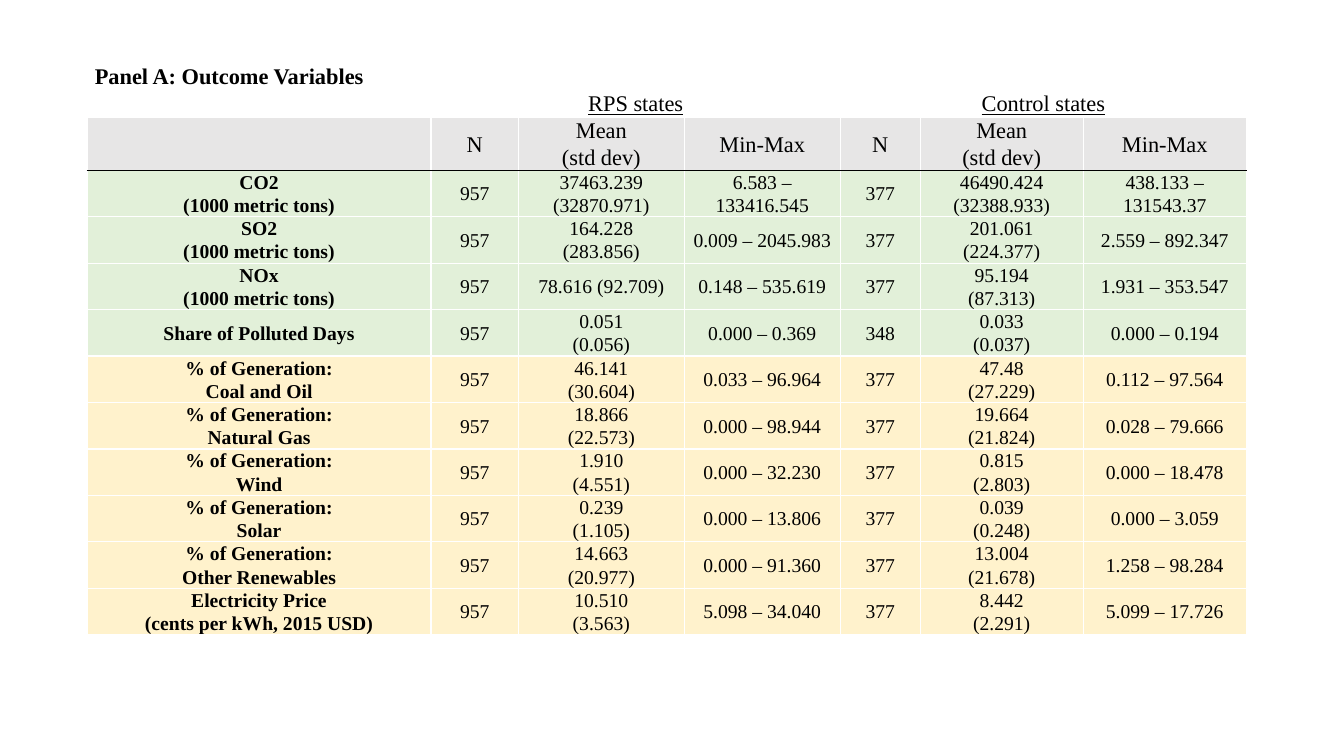
from dataclasses import dataclass

from lxml import etree
from pptx import Presentation
from pptx import util as u
from pptx.dml.color import RGBColor
from pptx.enum import text
from pptx.oxml import ns


@dataclass(frozen=True)
class Theme:
    font: str = "Times New Roman"
    ink: str = "000000"
    border: str = "FFFFFF"
    header: str = "E7E6E6"
    emissions: str = "E2F0D9"
    energy: str = "FFF2CC"
    heading_size: int = 16
    body_size: int = 14
    line_spacing: float = 1.07


@dataclass(frozen=True)
class Group:
    """Statistics of one group of states."""
    count: str
    mean: str
    span: str


@dataclass(frozen=True)
class Variable:
    label: str
    fill: str
    rps: Group
    control: Group

    def texts(self) -> list[str]:
        return [self.label] + [value for group in (self.rps, self.control)
                               for value in (group.count, group.mean, group.span)]


THEME = Theme()
COLUMN_WIDTHS = (8.66, 2.21, 4.17, 3.94, 2.01, 4.11, 4.11)
HEADING_HEIGHT, HEADER_HEIGHT, BODY_HEIGHT = 0.67, 1.32, 1.17
HEADER_ROW = 2
HEADER_TEXTS = [""] + ["N", "Mean\n(std dev)", "Min-Max"] * 2

VARIABLES = (
    Variable("CO2\n(1000 metric tons)", THEME.emissions,
             Group("957", "37463.239 (32870.971)", "6.583 – 133416.545"),
             Group("377", "46490.424\n(32388.933)", "438.133 – 131543.37")),
    Variable("SO2\n(1000 metric tons)", THEME.emissions,
             Group("957", "164.228\n(283.856)", "0.009 – 2045.983"),
             Group("377", "201.061\n(224.377)", "2.559 – 892.347")),
    Variable("NOx\n(1000 metric tons)", THEME.emissions,
             Group("957", "78.616 (92.709)", "0.148 – 535.619"),
             Group("377", "95.194\n(87.313)", "1.931 – 353.547")),
    Variable("Share of Polluted Days", THEME.emissions,
             Group("957", "0.051\n(0.056)", "0.000 – 0.369"),
             Group("348", "0.033\n(0.037)", "0.000 – 0.194")),
    Variable("% of Generation:\nCoal and Oil", THEME.energy,
             Group("957", "46.141\n(30.604)", "0.033 – 96.964"),
             Group("377", "47.48\n(27.229)", "0.112 – 97.564")),
    Variable("% of Generation:\nNatural Gas", THEME.energy,
             Group("957", "18.866\n(22.573)", "0.000 – 98.944"),
             Group("377", "19.664\n(21.824)", "0.028 – 79.666")),
    Variable("% of Generation:\nWind", THEME.energy,
             Group("957", "1.910\n(4.551)", "0.000 – 32.230"),
             Group("377", "0.815\n(2.803)", "0.000 – 18.478")),
    Variable("% of Generation:\nSolar", THEME.energy,
             Group("957", "0.239\n(1.105)", "0.000 – 13.806"),
             Group("377", "0.039\n(0.248)", "0.000 – 3.059")),
    Variable("% of Generation:\nOther Renewables", THEME.energy,
             Group("957", "14.663\n(20.977)", "0.000 – 91.360"),
             Group("377", "13.004\n(21.678)", "1.258 – 98.284")),
    Variable("Electricity Price\n(cents per kWh, 2015 USD)", THEME.energy,
             Group("957", "10.510\n(3.563)", "5.098 – 34.040"),
             Group("377", "8.442\n(2.291)", "5.099 – 17.726")),
)


def write(cell, content: str, *, size: int = THEME.heading_size, bold: bool = False,
          underline: bool = False, align=text.PP_ALIGN.CENTER) -> None:
    """Put one paragraph per line of content into a cell."""
    cell.vertical_anchor = text.MSO_ANCHOR.MIDDLE
    cell.margin_left = cell.margin_right = u.Cm(0.19)
    cell.margin_top = cell.margin_bottom = 0
    frame = cell.text_frame
    for index, line in enumerate(content.split("\n")):
        para = frame.add_paragraph() if index else frame.paragraphs[0]
        para.alignment = align
        para.line_spacing = THEME.line_spacing
        if not line:
            # Keep an empty cell from making its row taller
            etree.SubElement(para._p, ns.qn("a:endParaRPr"), sz=str(size * 100))
            continue
        span = para.add_run()
        span.text = line
        span.font.name = THEME.font
        span.font.size = u.Pt(size)
        span.font.bold = bold
        span.font.underline = underline
        span.font.color.rgb = RGBColor.from_string(THEME.ink)


def paint(cell, *, fill: str = "", top: str = THEME.border,
          bottom: str = THEME.border) -> None:
    """Set the four borders of a cell, then its fill."""
    properties = cell._tc.get_or_add_tcPr()
    sides = {"lnL": THEME.border, "lnR": THEME.border, "lnT": top, "lnB": bottom}
    for side, color in sides.items():
        line = etree.SubElement(properties, ns.qn(f"a:{side}"), w=str(u.Pt(1)))
        solid = etree.SubElement(line, ns.qn("a:solidFill"))
        etree.SubElement(solid, ns.qn("a:srgbClr"), val=color)
    if fill:
        cell.fill.solid()
        cell.fill.fore_color.rgb = RGBColor.from_string(fill)
    else:
        cell.fill.background()


def add_statistics(page) -> None:
    heights = ([HEADING_HEIGHT] * HEADER_ROW + [HEADER_HEIGHT]
               + [BODY_HEIGHT] * len(VARIABLES))
    table = page.shapes.add_table(
        len(heights), len(COLUMN_WIDTHS), u.Cm(2.2), u.Cm(1.59),
        u.Cm(sum(COLUMN_WIDTHS)), u.Cm(sum(heights))).table
    table.first_row = table.horz_banding = False
    for column, width in zip(table.columns, COLUMN_WIDTHS):
        column.width = u.Cm(width)
    for row, height in zip(table.rows, heights):
        row.height = u.Cm(height)

    # Panel heading and group headings
    headings = {(0, 0): "Panel A: Outcome Variables",
                (1, 1): "RPS states", (1, 4): "Control states"}
    for row in range(HEADER_ROW):
        for column in range(len(COLUMN_WIDTHS)):
            cell = table.cell(row, column)
            is_panel = row == 0
            write(cell, headings.get((row, column), ""), bold=is_panel,
                  underline=not is_panel,
                  align=text.PP_ALIGN.LEFT if is_panel else text.PP_ALIGN.CENTER)
            paint(cell)
    for row, first, last in ((0, 0, 6), (1, 1, 3), (1, 4, 6)):
        table.cell(row, first).merge(table.cell(row, last))

    # Column headers
    for column, content in enumerate(HEADER_TEXTS):
        cell = table.cell(HEADER_ROW, column)
        write(cell, content)
        paint(cell, fill=THEME.header, bottom=THEME.ink)

    # One row per variable
    for index, variable in enumerate(VARIABLES):
        for column, content in enumerate(variable.texts()):
            cell = table.cell(HEADER_ROW + 1 + index, column)
            write(cell, content, size=THEME.body_size, bold=column == 0)
            paint(cell, fill=variable.fill,
                  top=THEME.border if index else THEME.ink)


def main() -> None:
    deck = Presentation()
    deck.slide_width, deck.slide_height = u.Cm(33.87), u.Cm(19.05)
    page = deck.slides.add_slide(deck.slide_layouts[6])
    add_statistics(page)
    deck.save("out.pptx")


if __name__ == "__main__":
    main()
